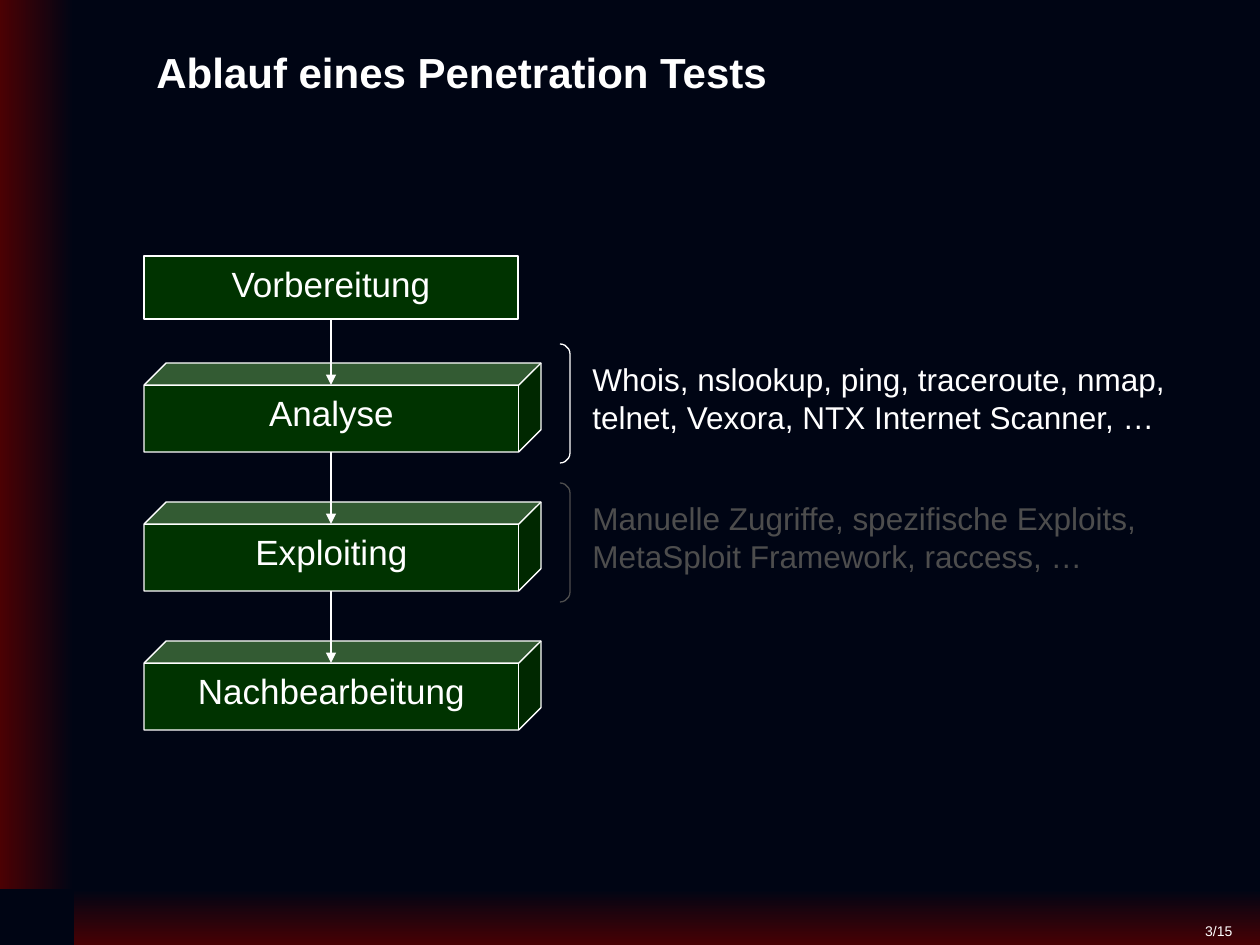
from pptx import Presentation
from pptx import util as u
from pptx.dml.color import RGBColor
from pptx.enum import shapes, text
from pptx.oxml.ns import qn
from lxml import etree

COL = {"night": "000514", "red": "5A0000", "green": "003300",
       "white": "FFFFFF", "gray": "4D4D4D"}
TITLE = "Ablauf eines Penetration Tests"
PAGE = "3/15"
START = "Vorbereitung"
STEPS = ["Analyse", "Exploiting", "Nachbearbeitung"]
NOTES = [
    ("Whois, nslookup, ping, traceroute, nmap, telnet, Vexora, "
     "NTX Internet Scanner, …", "white"),
    ("Manuelle Zugriffe, spezifische Exploits, MetaSploit Framework, "
     "raccess, …", "gray"),
]
BARS = [((74, 889, 1193, 70), 270), ((-15, 0, 89, 889), 180)]

PX = 914400 // 126
LEFT, TOP, WIDE = 144, 363, 397
HIGH, PITCH, DEPTH = 89, 139, 22
FACE = WIDE - DEPTH - 1
MID = LEFT + FACE // 2
KIND = shapes.MSO_SHAPE


def rgb(name):
    return RGBColor.from_string(COL[name])


def px(*nums):
    return [u.Emu(n * PX) for n in nums]


def write(shape, words, size, color="white", align="LEFT", anchor="TOP",
          bold=False):
    frame = shape.text_frame
    frame.word_wrap = True
    frame.vertical_anchor = getattr(text.MSO_ANCHOR, anchor)
    para = frame.paragraphs[0]
    para.text = words
    para.alignment = getattr(text.PP_ALIGN, align)
    look = {"name": "Arial", "size": u.Pt(size), "bold": bold}
    for key, val in look.items():
        setattr(para.font, key, val)
    para.font.color.rgb = rgb(color)


def draw(kind, box, fill=None, line=None):
    shape = slide.shapes.add_shape(kind, *px(*box))
    shape.shadow.inherit = False
    if fill:
        shape.fill.solid()
        shape.fill.fore_color.rgb = rgb(fill)
    else:
        shape.fill.background()
    if line:
        shape.line.color.rgb = rgb(line)
        shape.line.width = u.Pt(0.75)
    else:
        shape.line.fill.background()
    return shape


def label(box, words, size, **look):
    write(slide.shapes.add_textbox(*px(*box)), words, size, **look)


def arrow(top, end):
    link = slide.shapes.add_connector(
        shapes.MSO_CONNECTOR.STRAIGHT, *px(MID, top, MID, end))
    link.line.color.rgb = rgb("white")
    link.line.width = u.Pt(0.75)
    tip = etree.SubElement(link.line._get_or_add_ln(), qn("a:tailEnd"))
    tip.set("type", "triangle")
    etree.SubElement(link._element.spPr, qn("a:effectLst"))
    return link


deck = Presentation()
deck.slide_width, deck.slide_height = px(1260, 945)
slide = deck.slides.add_slide(deck.slide_layouts[6])
slide.background.fill.solid()
slide.background.fill.fore_color.rgb = rgb("night")

for box, angle in BARS:
    fill = draw(KIND.RECTANGLE, box).fill
    fill.gradient()
    fill.gradient_angle = angle
    for stop, name, spot in zip(fill.gradient_stops, ("night", "red"), (0, 1)):
        stop.color.rgb = rgb(name)
        stop.position = spot

label((689, 916, 556, 30), PAGE, 8, align="RIGHT")
label((144, 27, 1091, 89), TITLE, 24, anchor="MIDDLE", bold=True)

first = draw(KIND.RECTANGLE, (LEFT, 256, FACE, 63), "green", "white")
write(first, START, 20, align="CENTER")

tops = [TOP + PITCH * i for i in range(len(STEPS))]
for top, step in zip(tops, STEPS):
    cube = draw(KIND.CUBE, (LEFT, top, WIDE, HIGH), "green", "white")
    cube.adjustments[0] = 0.25
    write(cube, step, 20, align="CENTER")

starts = [319] + [top + HIGH for top in tops[:-1]]
links = [arrow(a, top + DEPTH) for a, top in zip(starts, tops)]
links[0].begin_connect(first, 2)

for top, (words, color) in zip(tops, NOTES):
    brace = draw(KIND.RIGHT_BRACKET, (560, top - 19, 10, 119), line=color)
    brace.adjustments[0] = 1
    label((580, top - 9, 615, 88), words, 18, color=color)

deck.save("out.pptx")
